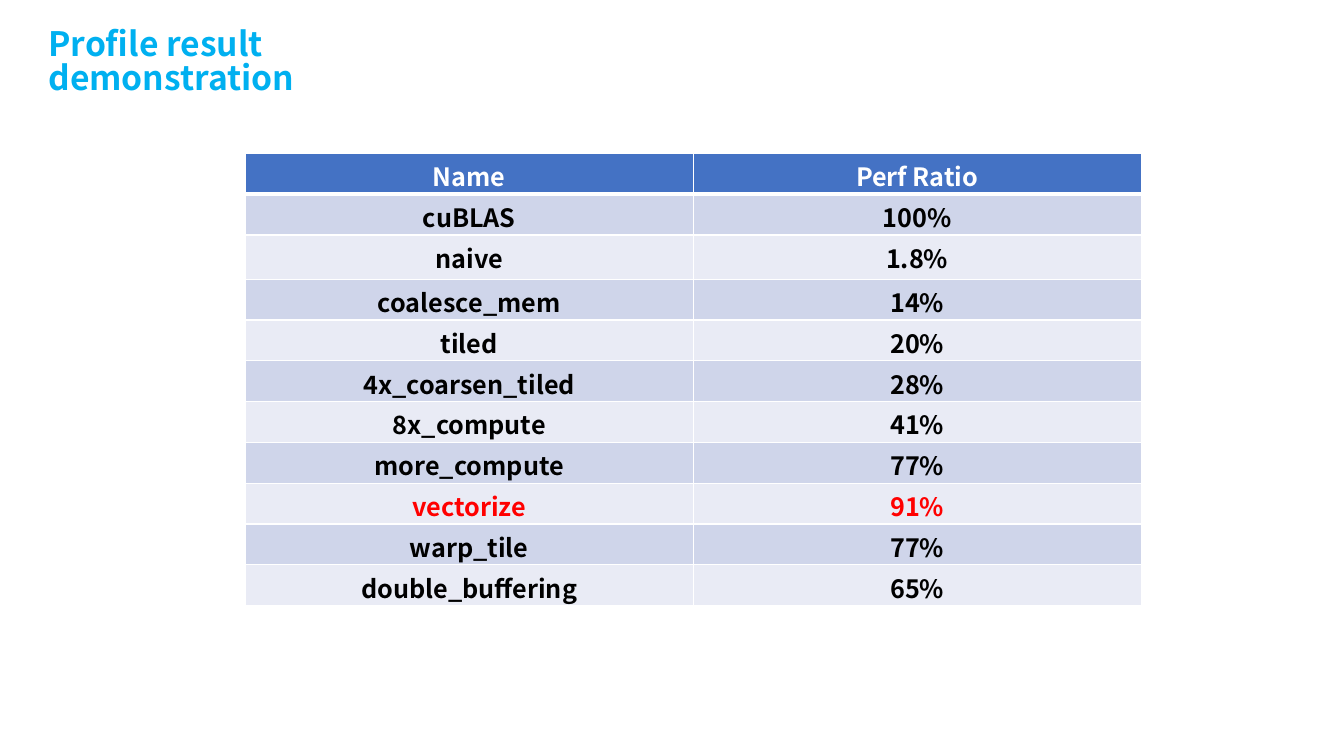
"""Build the slide that shows the profile result of each kernel."""
from dataclasses import dataclass

from lxml.etree import SubElement as Sub
from pptx import Presentation
from pptx.dml.color import RGBColor as Rgb
from pptx.enum.text import MSO_ANCHOR as Anchor, MSO_AUTO_SIZE as Auto, PP_ALIGN as Align
from pptx.oxml.ns import qn
from pptx.util import Inches, Pt

WIDE, HIGH = Inches(13.333), Inches(7.5)
FONT = "Noto Sans CJK SC"
HUES = {
    "title": "00B0F0", "head": "4472C4", "odd": "CFD5EA", "even": "E9EBF5",
    "white": "FFFFFF", "black": "000000", "best": "FF0000",
}


@dataclass
class Row:
    name: str
    perf: str
    hue: str = "black"
    tall: float = 0.054


ROWS = [
    Row("Name", "Perf Ratio", "white"),
    Row("cuBLAS", "100%"),
    Row("naive", "1.8%", tall=0.0585),
    Row("coalesce_mem", "14%"),
    Row("tiled", "20%"),
    Row("4x_coarsen_tiled", "28%"),
    Row("8x_compute", "41%"),
    Row("more_compute", "77%"),
    Row("vectorize", "91%", "best"),
    Row("warp_tile", "77%"),
    Row("double_buffering", "65%"),
]


def across(share: float) -> int:
    return round(WIDE * share)


def down(share: float) -> int:
    return round(HIGH * share)


def write(frame, text: str, *, size: float, hue: str, align=Align.LEFT, space: float = 1.0) -> None:
    para = frame.paragraphs[0]
    para.alignment, para.line_spacing = align, space
    run = para.add_run()
    run.text = text
    font = run.font
    font.name, font.size, font.bold = FONT, Pt(size), True
    font.color.rgb = Rgb.from_string(HUES[hue])


def edge(cell, side: str, width: float) -> None:
    line = Sub(cell._tc.get_or_add_tcPr(), qn(f"a:ln{side}"), w=str(Pt(width)))
    fill = Sub(line, qn("a:solidFill"))
    Sub(fill, qn("a:srgbClr"), val=HUES["white"])


def paint(cell, text: str, *, hue: str, fill: str, top: float, base: float) -> None:
    for side, width in (("L", 1), ("R", 1), ("T", top), ("B", base)):
        edge(cell, side, width)
    cell.fill.solid()
    cell.fill.fore_color.rgb = Rgb.from_string(HUES[fill])
    cell.margin_top, cell.margin_bottom = Inches(0.04), 0
    cell.vertical_anchor = Anchor.TOP
    write(cell.text_frame, text, size=18, hue=hue, align=Align.CENTER)


def head(slide) -> None:
    title = slide.shapes.title
    title.left, title.top = across(0.0285), down(0.032)
    title.width, title.height = across(0.34), down(0.067)
    frame = title.text_frame
    frame.word_wrap, frame.auto_size = True, Auto.SHAPE_TO_FIT_TEXT
    frame.vertical_anchor = Anchor.TOP
    write(frame, "Profile result demonstration", size=24, hue="title", space=0.85)


def grid(slide) -> None:
    tall = down(sum(row.tall for row in ROWS))
    shape = slide.shapes.add_table(len(ROWS), 2, across(0.1825), down(0.203), across(0.6666), tall)
    table = shape.table
    for num, row in enumerate(ROWS):
        table.rows[num].height = down(row.tall)
        fill = "head" if num == 0 else "odd" if num % 2 else "even"
        top, base = 3 if num == 1 else 1, 3 if num == 0 else 1
        for col, text in enumerate((row.name, row.perf)):
            paint(table.cell(num, col), text, hue=row.hue, fill=fill, top=top, base=base)


def main() -> None:
    deck = Presentation()
    deck.slide_width, deck.slide_height = WIDE, HIGH
    slide = deck.slides.add_slide(deck.slide_layouts[5])
    head(slide)
    grid(slide)
    deck.save("out.pptx")


if __name__ == "__main__":
    main()
